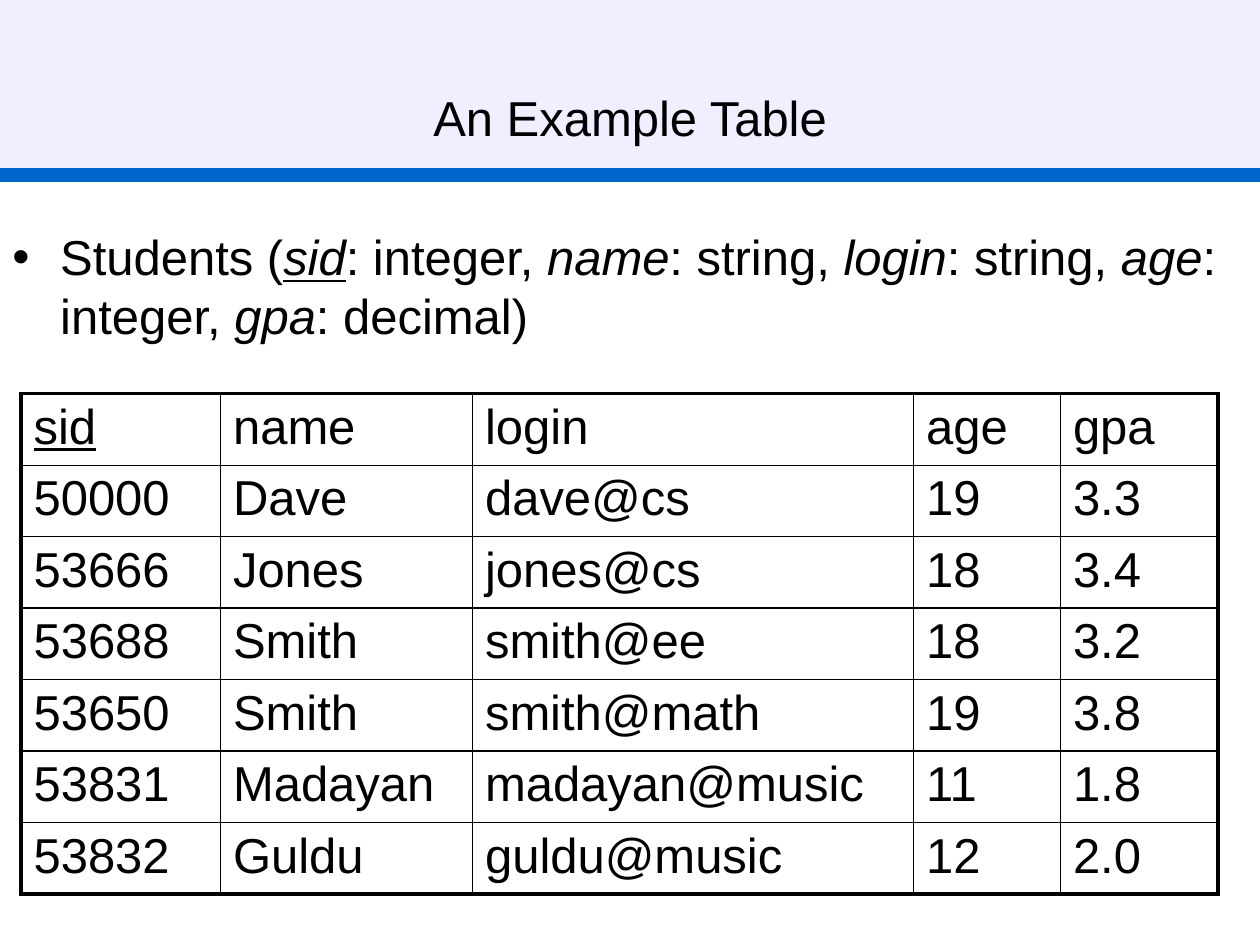
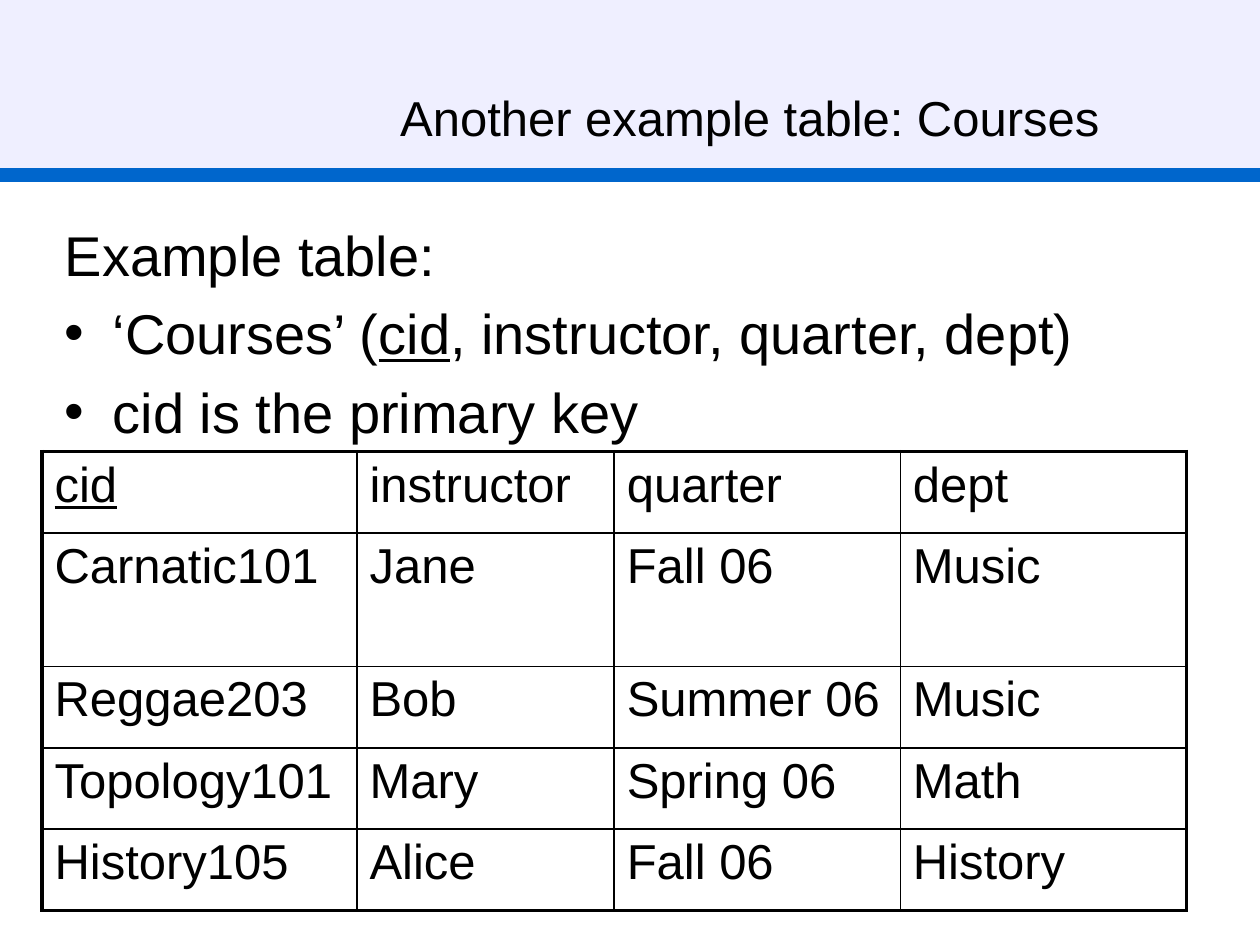
from dataclasses import dataclass

from lxml import etree
from pptx import Presentation
from pptx.dml.color import RGBColor
from pptx.enum.shapes import MSO_CONNECTOR, MSO_SHAPE
from pptx.enum.text import MSO_ANCHOR, PP_ALIGN
from pptx.oxml.ns import qn
from pptx.util import Inches, Pt

RECT = MSO_SHAPE.RECTANGLE
LINE = MSO_CONNECTOR.STRAIGHT
TOP, MIDDLE = MSO_ANCHOR.TOP, MSO_ANCHOR.MIDDLE
LEFT, CENTER = PP_ALIGN.LEFT, PP_ALIGN.CENTER

# Shared look
BLACK = RGBColor(0x00, 0x00, 0x00)
LILAC = RGBColor(0xCC, 0xCC, 0xFF)
BLUE = RGBColor(0x00, 0x66, 0xCC)
FONT = "Arial"
SIZE = 28
THIN, THICK = Pt(1), Pt(2.25)

# The slide is a grid of 120 columns by 90 rows
WIDE, HIGH = Inches(10), Inches(7.5)
COLS, ROWS = 120, 90


def col(n: float) -> int:
    return round(WIDE * n / COLS)


def row(n: float) -> int:
    return round(HIGH * n / ROWS)


@dataclass
class Box:
    x: float
    y: float
    w: float
    h: float

    def spot(self) -> tuple[int, int, int, int]:
        return col(self.x), row(self.y), col(self.w), row(self.h)


@dataclass
class Para:
    """Runs are (text, marks), where marks hold i for italic, u for underline."""
    runs: list[tuple[str, str]]
    dot: bool = True


@dataclass
class Grid:
    x: float
    y: float
    cols: list[float]
    rows: list[float]
    cells: list[list[str]]


@dataclass
class Page:
    title: str
    head: Box
    body: Box
    size: int
    paras: list[Para]
    grid: Grid


# Text helpers
def style(run, size: int, marks: str = "") -> None:
    font = run.font
    font.name, font.size = FONT, Pt(size)
    font.color.rgb = BLACK
    if "i" in marks:
        font.italic = True
    if "u" in marks:
        font.underline = True


def space(para) -> None:
    """Leave a fifth of a line before the paragraph."""
    props = para._p.get_or_add_pPr()
    gap = etree.SubElement(props, qn("a:spcBef"))
    etree.SubElement(gap, qn("a:spcPct"), val="20000")


def bullet(para) -> None:
    props = para._p.get_or_add_pPr()
    props.set("marL", str(Inches(0.38)))
    props.set("indent", str(-Inches(0.38)))
    etree.SubElement(props, qn("a:buFont"), typeface=FONT)
    etree.SubElement(props, qn("a:buChar"), char="•")


# Parts of a slide
def add_head(slide, text: str, box: Box) -> None:
    title = slide.shapes.title
    title.left, title.top, title.width, title.height = box.spot()
    frame = title.text_frame
    frame.text = text
    frame.vertical_anchor = MIDDLE
    frame.paragraphs[0].alignment = CENTER
    style(frame.paragraphs[0].runs[0], SIZE)

    # Band and rule lie behind the title
    band = slide.shapes.add_shape(RECT, *Box(0, 0, COLS, 17).spot())
    band.shadow.inherit = False
    band.fill.solid()
    band.fill.fore_color.rgb = LILAC
    tint = band.element.spPr.find(qn("a:solidFill"))[0]
    etree.SubElement(tint, qn("a:alpha"), val="30000")
    band.line.fill.background()

    level = row(16.67)
    rule = slide.shapes.add_connector(LINE, 0, level, WIDE, level)
    rule.line.color.rgb = BLUE
    rule.line.width = Pt(8)
    etree.SubElement(rule.element.spPr, qn("a:effectLst"))
    for part in (band, rule):
        title.element.addprevious(part.element)


def add_body(slide, box: Box, size: int, paras: list[Para]) -> None:
    frame = slide.shapes.add_textbox(*box.spot()).text_frame
    frame.word_wrap = True
    frame.vertical_anchor = TOP
    for i, item in enumerate(paras):
        para = frame.add_paragraph() if i else frame.paragraphs[0]
        para.alignment = LEFT
        space(para)
        if item.dot:
            bullet(para)
        for text, marks in item.runs:
            run = para.add_run()
            run.text = text
            style(run, size, marks)


def add_edge(cell, side: str, width: int) -> None:
    props = cell._tc.get_or_add_tcPr()
    edge = etree.SubElement(props, qn(f"a:ln{side}"), w=str(width))
    fill = etree.SubElement(edge, qn("a:solidFill"))
    etree.SubElement(fill, qn("a:srgbClr"), val=str(BLACK))


def add_grid(slide, grid: Grid) -> None:
    box = Box(grid.x, grid.y, sum(grid.cols), sum(grid.rows))
    tall, wide = len(grid.rows), len(grid.cols)
    table = slide.shapes.add_table(tall, wide, *box.spot()).table
    table.first_row = table.horz_banding = False
    for c, width in enumerate(grid.cols):
        table.columns[c].width = col(width)
    for r, height in enumerate(grid.rows):
        table.rows[r].height = row(height)
        for c, text in enumerate(grid.cells[r]):
            cell = table.cell(r, c)
            cell.text_frame.text = text
            para = cell.text_frame.paragraphs[0]
            space(para)
            # The key column's heading is underlined
            style(para.runs[0], SIZE, "u" if r == c == 0 else "")
            outer = {"L": c == 0, "R": c == wide - 1,
                     "T": r == 0, "B": r == tall - 1}
            for side, rim in outer.items():
                add_edge(cell, side, THICK if rim else THIN)
            cell.fill.background()


PAGES = [
    Page(
        "An Example Table", Box(6, 3.6, 108, 15), Box(0, 21, 120, 14), 28,
        [Para([("Students (", ""), ("sid", "iu"), (": integer, ", ""),
               ("name", "i"), (": string, ", ""), ("login", "i"),
               (": string, ", ""), ("age", "i"), (": integer, ", ""),
               ("gpa", "i"), (": decimal)", "")])],
        Grid(2, 37.5, [19, 24, 42, 14, 15], [6.81] * 7, [
            ["sid", "name", "login", "age", "gpa"],
            ["50000", "Dave", "dave@cs", "19", "3.3"],
            ["53666", "Jones", "jones@cs", "18", "3.4"],
            ["53688", "Smith", "smith@ee", "18", "3.2"],
            ["53650", "Smith", "smith@math", "19", "3.8"],
            ["53831", "Madayan", "madayan@music", "11", "1.8"],
            ["53832", "Guldu", "guldu@music", "12", "2.0"],
        ]),
    ),
    Page(
        "Another example table: Courses", Box(28.8, 3.6, 85.2, 15),
        Box(5, 20.4, 110, 22.6), 32,
        [Para([("Example table:", "")], dot=False),
         Para([("‘Courses’ (", ""), ("cid", "u"),
               (", instructor, quarter, dept)", "")]),
         Para([("cid is the primary key", "")])],
        Grid(4, 43, [30, 24.5, 27.25, 27.25], [7.76, 12.7] + [7.76] * 3, [
            ["cid", "instructor", "quarter", "dept"],
            ["Carnatic101", "Jane", "Fall 06", "Music"],
            ["Reggae203", "Bob", "Summer 06", "Music"],
            ["Topology101", "Mary", "Spring 06", "Math"],
            ["History105", "Alice", "Fall 06", "History"],
        ]),
    ),
]


def main() -> None:
    deck = Presentation()
    deck.slide_width, deck.slide_height = WIDE, HIGH
    plain = deck.slide_layouts.get_by_name("Title Only")
    for page in PAGES:
        slide = deck.slides.add_slide(plain)
        add_head(slide, page.title, page.head)
        add_body(slide, page.body, page.size, page.paras)
        add_grid(slide, page.grid)
    deck.save("out.pptx")


if __name__ == "__main__":
    main()
